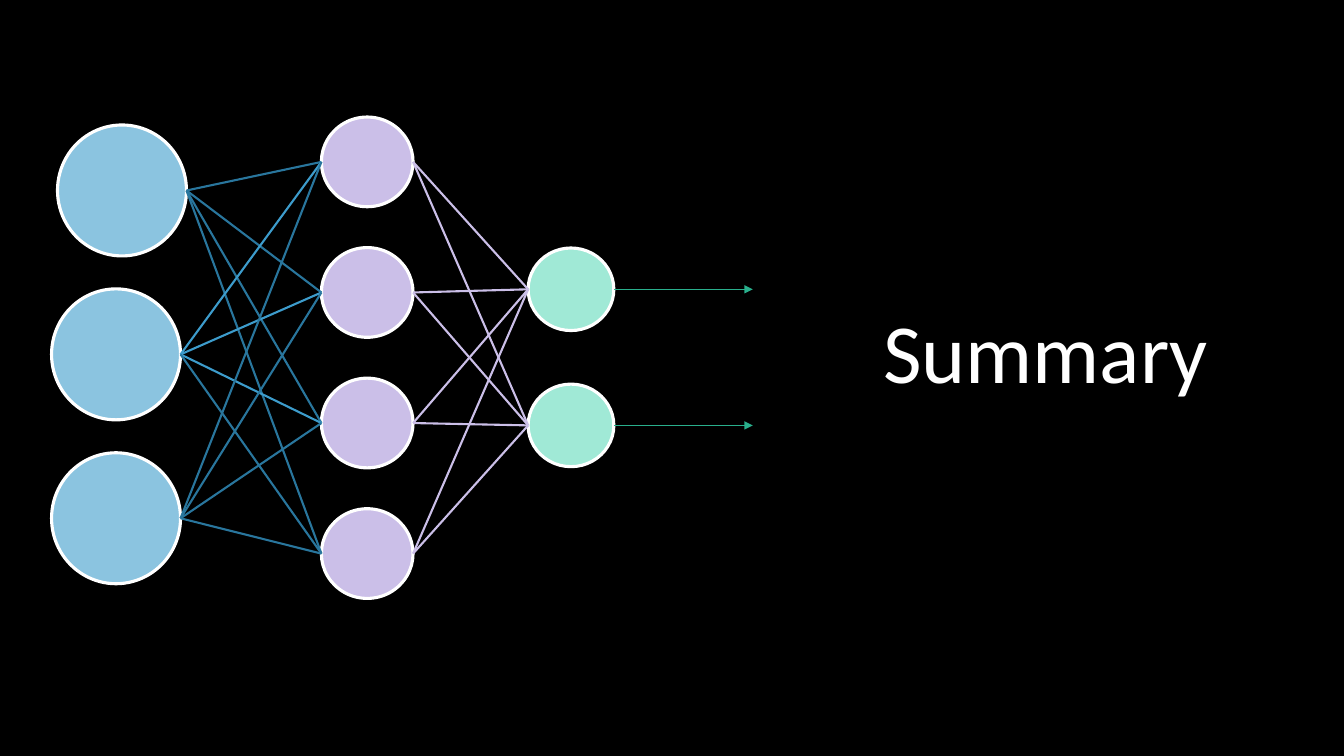
from itertools import product

from lxml.etree import SubElement
from pptx import Presentation
from pptx.dml.color import RGBColor
from pptx.enum.shapes import MSO_CONNECTOR, MSO_SHAPE
from pptx.enum.text import MSO_ANCHOR, MSO_AUTO_SIZE, PP_ALIGN
from pptx.oxml.ns import qn
from pptx.util import Cm, Pt

BLUE, DEEP, SKY = "8BC4E0", "29769D", "3D9CCC"
LILAC, MINT, GREEN = "CBBFE8", "A0E9D6", "29AF8C"
WHITE, BLACK = "FFFFFF", "000000"


def paint(fmt, color):
    fmt.solid()
    fmt.fore_color.rgb = RGBColor.from_string(color)


def apply(item, style):
    for name, value in style.items():
        setattr(item, name, value)


class Sketch:
    """Holds the shared style and the slide being drawn."""
    font = {"name": "Calibri", "size": Pt(60), "bold": False}
    frame = {"word_wrap": True, "auto_size": MSO_AUTO_SIZE.NONE,
             "vertical_anchor": MSO_ANCHOR.BOTTOM}
    para = {"alignment": PP_ALIGN.CENTER, "line_spacing": 0.9}
    rim, link = Pt(2.25), Pt(1.5)

    def __init__(self, deck):
        self.slide = deck.slides.add_slide(deck.slide_layouts[5])
        paint(self.slide.background.fill, BLACK)

    def title(self, text, left, top, width, height):
        shape = self.slide.shapes.title
        apply(shape, {"left": Cm(left), "top": Cm(top),
                      "width": Cm(width), "height": Cm(height)})
        shape.text_frame.text = text
        apply(shape.text_frame, self.frame)
        line = shape.text_frame.paragraphs[0]
        apply(line, self.para)
        apply(line.runs[0].font, self.font)
        paint(line.runs[0].font.fill, WHITE)

    def layer(self, lefts, top, step, width, height, color):
        """Draw a column of nodes; return their left and right ports."""
        ins, outs = [], []
        for row, left in enumerate(lefts):
            y = top + row * step
            node = self.slide.shapes.add_shape(
                MSO_SHAPE.FLOWCHART_CONNECTOR,
                Cm(left), Cm(y), Cm(width), Cm(height))
            node.shadow.inherit = False
            paint(node.fill, color)
            paint(node.line.fill, WHITE)
            node.line.width = self.rim
            ins.append((left, y + height / 2))
            outs.append((left + width, y + height / 2))
        return ins, outs

    def edge(self, start, end, color, width=link, arrow=False):
        line = self.slide.shapes.add_connector(
            MSO_CONNECTOR.STRAIGHT, *map(Cm, start + end))
        paint(line.line.fill, color)
        line.line.width = width
        if arrow:
            SubElement(line.line._get_or_add_ln(), qn("a:tailEnd"),
                       type="triangle")
        SubElement(line._element.spPr, qn("a:effectLst"))


def main():
    deck = Presentation()
    apply(deck, {"slide_width": Cm(33.87), "slide_height": Cm(19.05)})
    net = Sketch(deck)
    net.title("Summary", 19.25, 5.41, 14.2, 4.83)

    _, feeds = net.layer([1.45, 1.3, 1.3], 3.15, 4.13, 3.25, 3.3, BLUE)
    ins, outs = net.layer([8.1] * 4, 2.95, 3.29, 2.31, 2.26, LILAC)
    for (row, start), (col, end) in product(enumerate(feeds), enumerate(ins)):
        net.edge(start, end, SKY if row == 1 and col < 3 else DEEP)

    goals, ends = net.layer([13.31] * 2, 6.25, 3.43, 2.16, 2.08, MINT)
    for start, end in product(outs, goals):
        net.edge(start, end, LILAC)
    for x, y in ends:
        net.edge((x, y), (18.97, y), GREEN, Pt(0.5), arrow=True)

    deck.save("out.pptx")


if __name__ == "__main__":
    main()
